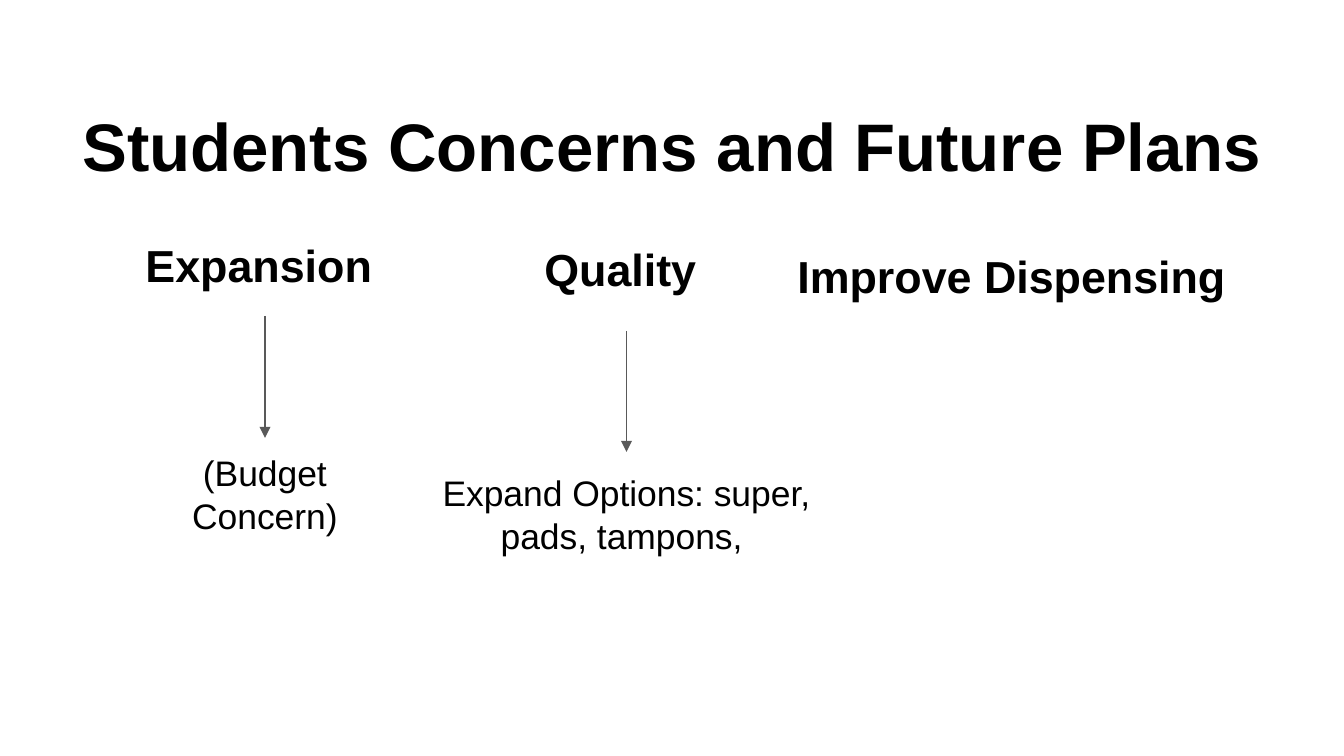
import pptx
import pptx.util
import pptx.dml.color
import pptx.enum.shapes
import pptx.enum.text
from lxml import etree

COLORS = {"text": "000000", "arrow": "595959", "background": "FFFFFF"}
PX = 914400 / 134.4
BOTTOM, TOP = 2, 0

TITLE = ("Students Concerns and Future Plans", (46, 83, 1253, 124))
CONCERNS = [
    {
        "heading": ("Expansion ", (58, 214, 414, 102)),
        "plan": ("(Budget Concern)", (138, 438, 254, 124)),
        "plan_anchor": "top",
    },
    {
        "heading": ("Quality ", (419, 207, 415, 124)),
        "plan": ("Expand Options: super, pads, tampons, ", (419, 452, 415, 124)),
        "plan_anchor": "middle",
    },
    {"heading": ("Improve Dispensing", (766, 214, 491, 124))},
]


def emu(px):
    return pptx.util.Emu(round(px * PX))


def rgb(name):
    return pptx.dml.color.RGBColor.from_string(COLORS[name])


def add_text(slide, text, area, size, bold=False, anchor="middle"):
    box = slide.shapes.add_textbox(*map(emu, area))
    frame = box.text_frame
    frame.word_wrap = True
    frame.vertical_anchor = pptx.enum.text.MSO_ANCHOR[anchor.upper()]
    inset = pptx.util.Inches(0.1)
    frame.margin_left = frame.margin_right = inset
    frame.margin_top = frame.margin_bottom = inset
    paragraph = frame.paragraphs[0]
    paragraph.alignment = pptx.enum.text.PP_ALIGN.CENTER
    run = paragraph.add_run()
    run.text = text
    run.font.name = "Arial"
    run.font.size = pptx.util.Pt(size)
    run.font.bold = bold
    run.font.color.rgb = rgb("text")
    return box


def add_arrow(slide, heading, plan):
    arrow = slide.shapes.add_connector(
        pptx.enum.shapes.MSO_CONNECTOR.STRAIGHT, 0, 0, 0, 0
    )
    arrow.begin_connect(heading, BOTTOM)
    arrow.end_connect(plan, TOP)
    arrow.line.color.rgb = rgb("arrow")
    arrow.line.width = pptx.util.Pt(0.75)
    namespace = pptx.oxml.ns.qn
    etree.SubElement(
        arrow.line._get_or_add_ln(), namespace("a:tailEnd"), type="triangle"
    )
    etree.SubElement(arrow._element.spPr, namespace("a:effectLst"))


def main():
    deck = pptx.Presentation()
    deck.slide_width, deck.slide_height = emu(1344), emu(756)
    slide = deck.slides.add_slide(deck.slide_layouts[6])
    slide.background.fill.solid()
    slide.background.fill.fore_color.rgb = rgb("background")

    add_text(slide, *TITLE, size=36, bold=True)
    for concern in CONCERNS:
        heading = add_text(slide, *concern["heading"], size=24, bold=True)
        if "plan" in concern:
            plan = add_text(
                slide, *concern["plan"], size=19, anchor=concern["plan_anchor"]
            )
            add_arrow(slide, heading, plan)

    deck.save("out.pptx")


if __name__ == "__main__":
    main()
